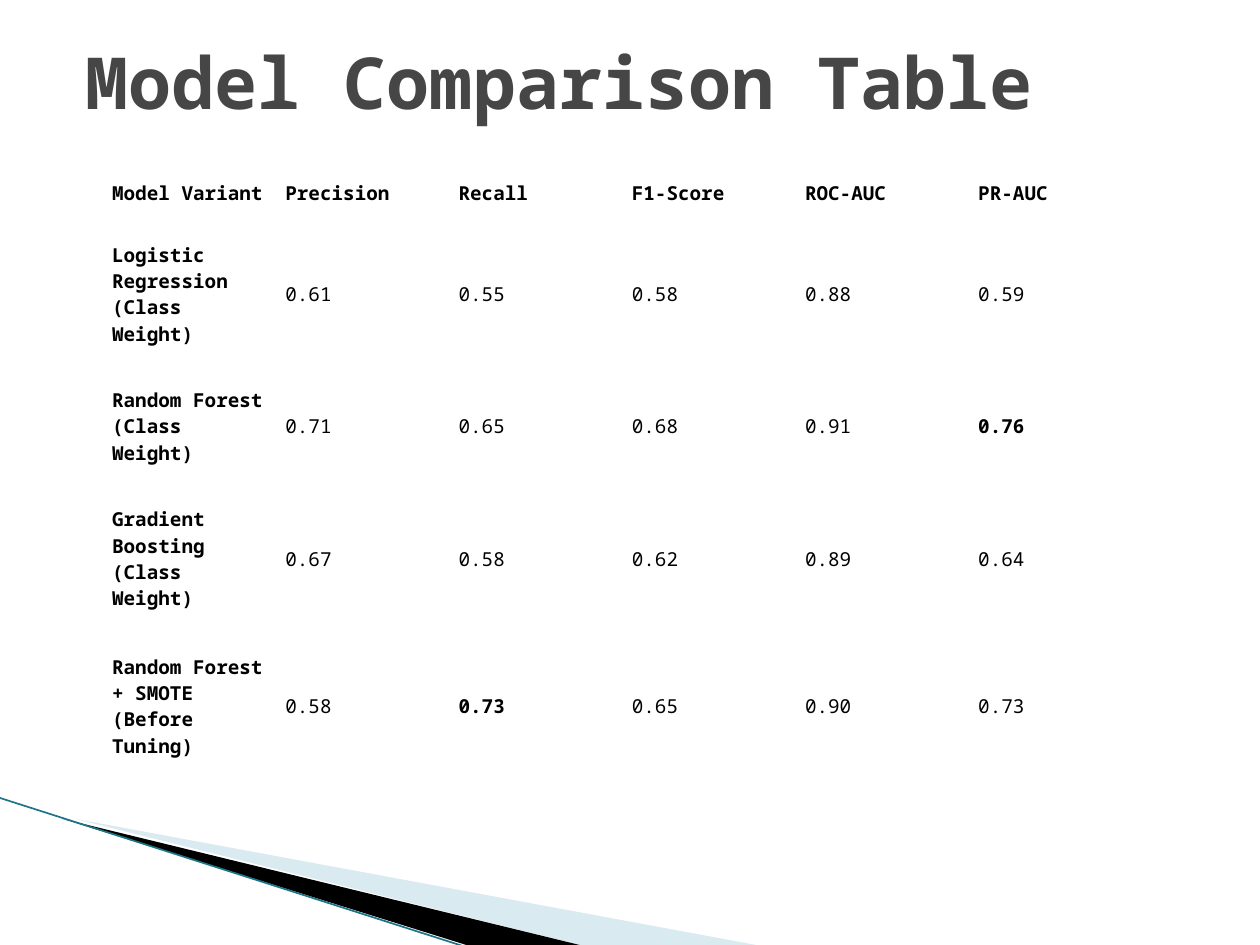
from lxml.etree import SubElement
from pptx import Presentation
from pptx.dml.color import RGBColor
from pptx.enum.shapes import MSO_CONNECTOR as Connector
from pptx.enum.text import MSO_ANCHOR as Anchor, MSO_AUTO_SIZE as AutoSize, PP_ALIGN as Align
from pptx.oxml.ns import qn
from pptx.util import Inches, Pt

BLACK = RGBColor(0x00, 0x00, 0x00)
TITLE_GRAY = RGBColor(0x46, 0x46, 0x46)
PALE_BLUE = RGBColor(0xA0, 0xCB, 0xDC)
TEAL = RGBColor(0x1B, 0x75, 0x87)

HEADINGS = ["Model Variant", "Precision", "Recall", "F1-Score", "ROC-AUC", "PR-AUC"]
RESULTS = [
    ["Logistic Regression (Class Weight)", "0.61", "0.55", "0.58", "0.88", "0.59"],
    ["Random Forest (Class Weight)", "0.71", "0.65", "0.68", "0.91", "0.76"],
    ["Gradient Boosting (Class Weight)", "0.67", "0.58", "0.62", "0.89", "0.64"],
    ["Random Forest + SMOTE (Before Tuning)", "0.58", "0.73", "0.65", "0.90", "0.73"],
]
BEST_SCORES = {(2, 5), (4, 2)}  # row and column of the highlighted results


class SlideBuilder:
    """Holds the style and the slide; lengths are units of a 100 by 75 grid."""

    font_name = "Noto Sans Mono"
    columns, rows = 100, 75

    def __init__(self, deck):
        self.col = deck.slide_width / self.columns
        self.row = deck.slide_height / self.rows
        self.slide = deck.slides.add_slide(deck.slide_layouts[5])

    def box(self, left, top, width, height):
        return (round(left * self.col), round(top * self.row),
                round(width * self.col), round(height * self.row))

    def add_run(self, paragraph, text, size, color, bold):
        run = paragraph.add_run()
        run.text = text
        run.font.name = self.font_name
        run.font.size = Pt(size)
        run.font.bold = bold
        run.font.color.rgb = color

    def title(self, text, *place):
        title = self.slide.shapes.title
        title.left, title.top, title.width, title.height = self.box(*place)
        frame = title.text_frame
        frame.auto_size = AutoSize.NONE
        frame.vertical_anchor = Anchor.MIDDLE
        frame.paragraphs[0].alignment = Align.LEFT
        self.add_run(frame.paragraphs[0], text, 41, TITLE_GRAY, True)

    def wedge(self, corners, color, opacity=None):
        builder = self.slide.shapes.build_freeform(*corners[0], scale=(self.col, self.row))
        builder.add_line_segments(corners[1:], close=True)
        wedge = builder.convert_to_shape()
        wedge.shadow.inherit = False
        wedge.line.fill.background()
        wedge.fill.solid()
        wedge.fill.fore_color.rgb = color
        if opacity is not None:
            tint = wedge.fill._xPr.find(".//" + qn("a:srgbClr"))
            SubElement(tint, qn("a:alpha"), val=str(opacity * 1000))

    def rule(self, start_x, start_y, end_x, end_y, color, weight):
        ends = self.box(start_x, start_y, end_x, end_y)
        rule = self.slide.shapes.add_connector(Connector.STRAIGHT, *ends)
        rule.line.color.rgb = color
        rule.line.width = Pt(weight)
        SubElement(rule._element.spPr, qn("a:effectLst"))

    def table(self, records, row_heights, *place):
        table = self.slide.shapes.add_table(
            len(records), len(records[0]), *self.box(*place)).table
        table.first_row = table.horz_banding = False
        for table_row, height in zip(table.rows, row_heights):
            table_row.height = round(height * self.row)
        for r, record in enumerate(records):
            for c, text in enumerate(record):
                cell = table.cell(r, c)
                cell.fill.background()
                cell.vertical_anchor = Anchor.MIDDLE
                cell.margin_left = cell.margin_right = Inches(0.06)
                cell.margin_top = cell.margin_bottom = Inches(0.03)
                bold = r == 0 or c == 0 or (r, c) in BEST_SCORES
                self.add_run(cell.text_frame.paragraphs[0], text, 11, BLACK, bold)


def main():
    deck = Presentation()
    deck.slide_width, deck.slide_height = Inches(10), Inches(7.5)
    page = SlideBuilder(deck)

    # Corner decoration
    page.wedge([(5.5, 65.1), (59.5, 75.1), (45.6, 75.1), (5.5, 65)], PALE_BLUE, opacity=40)
    page.wedge([(5.3, 64.9), (45.7, 75.1), (37.2, 75.2), (5.4, 65)], BLACK)
    page.rule(-0.1, 63.3, 37.1, 75.2, TEAL, 0.95)

    # Heading and model scores
    page.title("Model Comparison Table", 5.8, 0.2, 90, 12.5)
    page.table([HEADINGS] + RESULTS, [5.6, 10.5, 10.5, 10.5, 12.9], 8.3, 12.5, 82.5, 50)

    deck.save("out.pptx")


if __name__ == "__main__":
    main()
